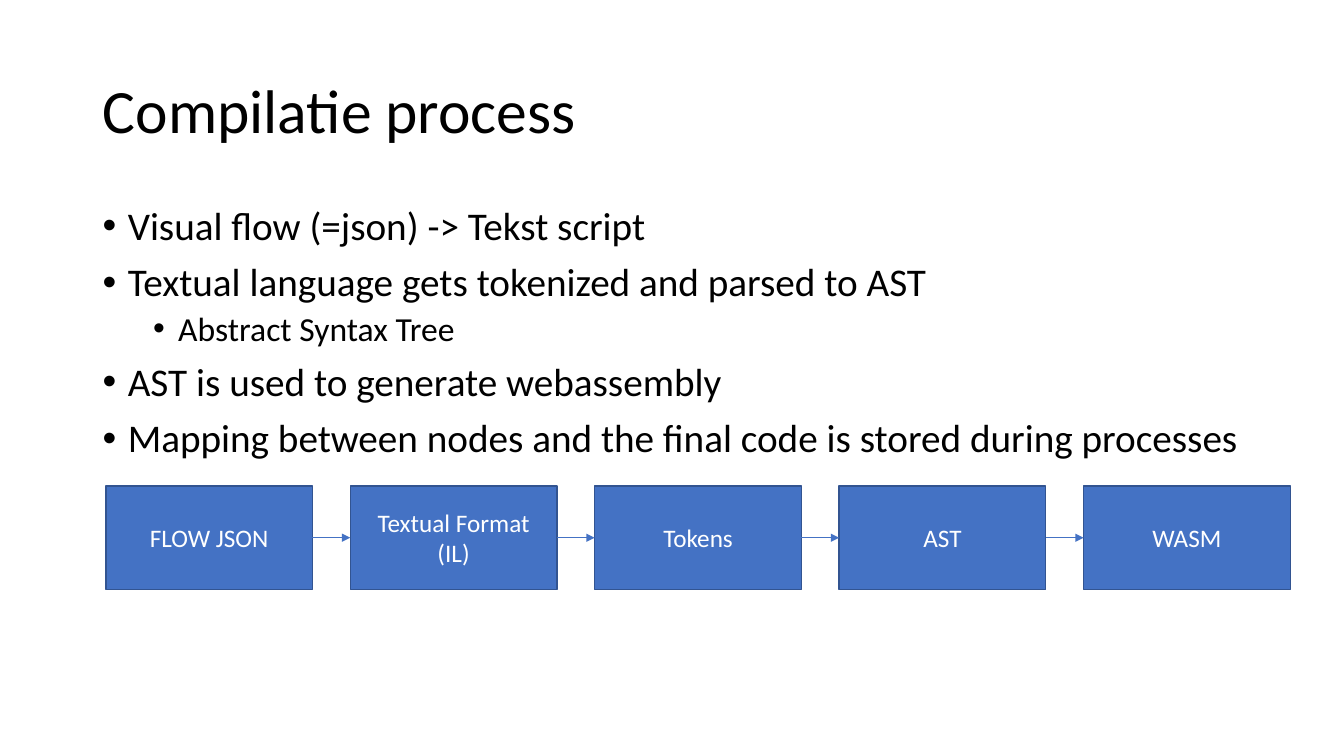
from dataclasses import dataclass
from itertools import pairwise

from pptx import Presentation
from pptx.dml.color import RGBColor as RGB
from pptx.enum.shapes import MSO_CONNECTOR as Link, MSO_SHAPE as Shape
from pptx.enum.text import MSO_ANCHOR as Anchor, MSO_AUTO_SIZE as Fit, PP_ALIGN as Align
from pptx.oxml.ns import qn
from pptx.util import Inches, Pt
from lxml.etree import SubElement as Sub


@dataclass(frozen=True)
class Theme:
    font: str = "Calibri"
    ink: RGB = RGB(0x00, 0x00, 0x00)
    paper: RGB = RGB(0xFF, 0xFF, 0xFF)
    blue: RGB = RGB(0x44, 0x72, 0xC4)
    edge: RGB = RGB(0x32, 0x54, 0x91)
    title: int = 44
    body: tuple = (28, 24)  # size by bullet level
    box: int = 18


def assign(item, **values):
    for name, value in values.items():
        setattr(item, name, value)


class Deck:
    def __init__(self, theme):
        self.theme = theme
        self.show = Presentation()
        assign(self.show, slide_width=Inches(13.333), slide_height=Inches(7.5))
        self.slide = self.show.slides.add_slide(self.show.slide_layouts[5])

    def label(self, para, text, size, color, **form):
        run = para.add_run()
        run.text = text
        assign(run.font, name=self.theme.font, size=Pt(size))
        run.font.color.rgb = color
        assign(para, **form)

    def title(self, text, left, top, width, height):
        head = self.slide.shapes.title
        assign(head, left=Inches(left), top=Inches(top),
               width=Inches(width), height=Inches(height))
        frame = head.text_frame
        assign(frame, vertical_anchor=Anchor.MIDDLE, word_wrap=True, auto_size=Fit.NONE)
        self.label(frame.paragraphs[0], text, self.theme.title, self.theme.ink,
                   alignment=Align.LEFT, line_spacing=0.9)

    def bullets(self, items, left, top, width, height):
        area = self.slide.shapes.add_textbox(*map(Inches, (left, top, width, height)))
        frame = area.text_frame
        frame.word_wrap = True
        for num, (level, text) in enumerate(items):
            para = frame.add_paragraph() if num else frame.paragraphs[0]
            self.label(para, text, self.theme.body[level], self.theme.ink, level=level,
                       line_spacing=0.9, space_before=Pt(5 if level else 10))
            props = para._p.get_or_add_pPr()
            props.set("marL", str(Inches(0.25 + 0.5 * level)))
            props.set("indent", str(Inches(-0.25)))
            Sub(props, qn("a:buFont")).set("typeface", "Arial")
            Sub(props, qn("a:buChar")).set("char", "•")

    def box(self, text, left, top, width, height):
        rect = self.slide.shapes.add_shape(
            Shape.RECTANGLE, *map(Inches, (left, top, width, height)))
        rect.shadow.inherit = False
        rect.fill.solid()
        rect.fill.fore_color.rgb = self.theme.blue
        rect.line.color.rgb = self.theme.edge
        rect.line.width = Pt(1)
        frame = rect.text_frame
        assign(frame, vertical_anchor=Anchor.MIDDLE, word_wrap=True)
        self.label(frame.paragraphs[0], text, self.theme.box, self.theme.paper,
                   alignment=Align.CENTER)
        return rect

    def arrow(self, start, end):
        link = self.slide.shapes.add_connector(Link.STRAIGHT, 0, 0, 0, 0)
        link.begin_connect(start, 3)
        link.end_connect(end, 1)
        link.line.color.rgb = self.theme.blue
        link.line.width = Pt(0.5)
        Sub(link.get_or_add_ln(), qn("a:tailEnd")).set("type", "triangle")
        Sub(link._element.spPr, qn("a:effectLst"))


def main():
    deck = Deck(Theme())

    # Title and bullets
    deck.title("Compilatie process", 0.92, 0.4, 11.5, 1.45)
    deck.bullets([
        (0, "Visual flow (=json) -> Tekst script"),
        (0, "Textual language gets tokenized and parsed to AST"),
        (1, "Abstract Syntax Tree"),
        (0, "AST is used to generate webassembly"),
        (0, "Mapping between nodes and the final code is stored during processes"),
    ], 0.92, 2, 11.5, 4.76)

    # Compile steps, evenly spaced from first to last
    steps = ["FLOW JSON", "Textual Format (IL)", "Tokens", "AST", "WASM"]
    first, last = 1.05, 10.75
    pitch = (last - first) / (len(steps) - 1)
    boxes = [deck.box(step, first + num * pitch, 4.82, 2.05, 1.03)
             for num, step in enumerate(steps)]

    # Arrows between neighbours
    for start, end in pairwise(boxes):
        deck.arrow(start, end)

    deck.show.save("out.pptx")


if __name__ == "__main__":
    main()
